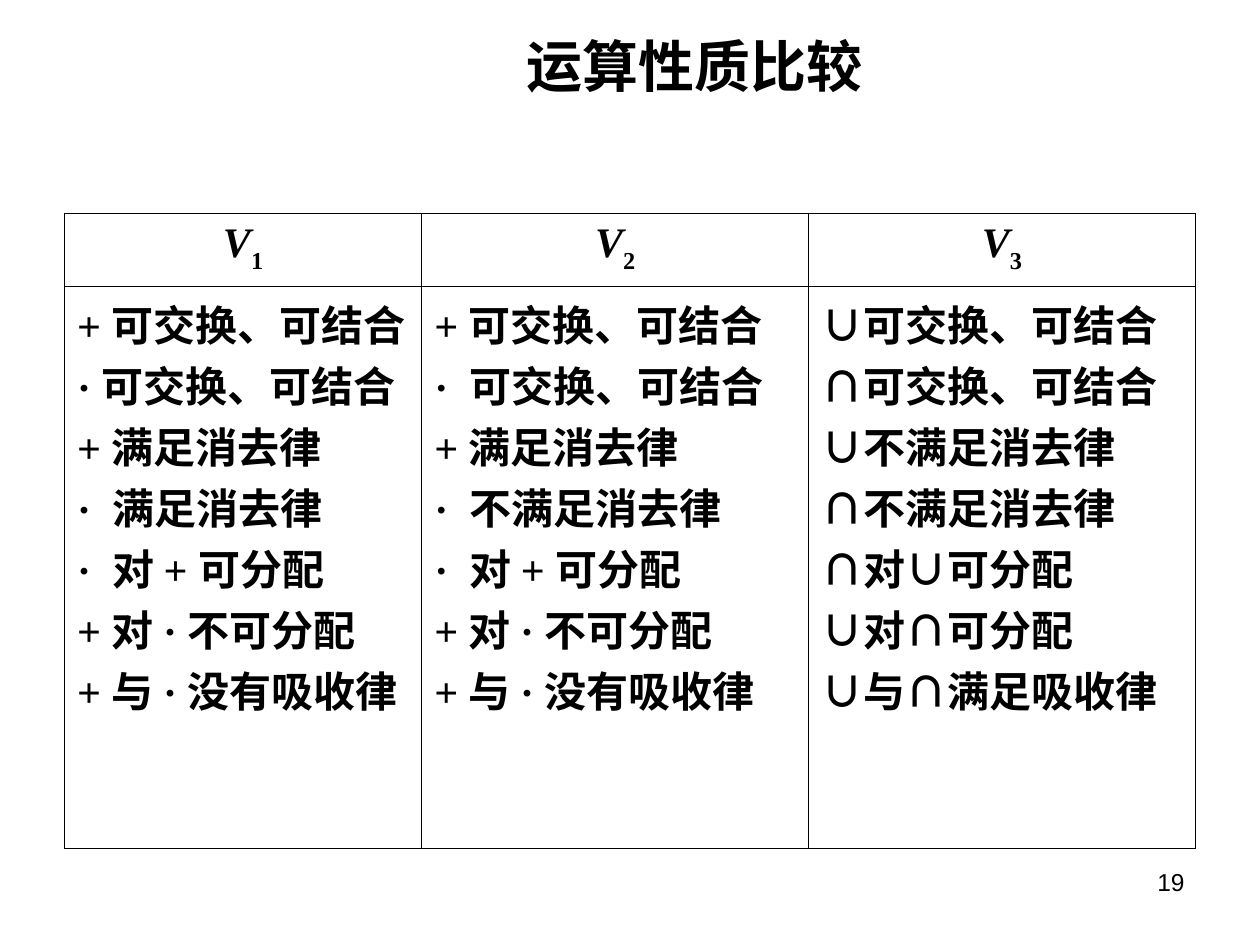
"""Build a slide comparing the operation properties of three algebraic systems."""
from lxml import etree
from pptx import Presentation
from pptx import util as u
from pptx.dml.color import RGBColor
from pptx.enum import text
from pptx.oxml.ns import qn

BLACK = "000000"


def style(font, name, size, bold=False):
    font.name = name
    font.size = u.Pt(size)
    font.bold = bold
    font.color.rgb = RGBColor.from_string(BLACK)


def add_border(cell, side):
    line = etree.SubElement(cell._tc.get_or_add_tcPr(), qn("a:" + side), w=str(u.Pt(0.45)))
    fill = etree.SubElement(line, qn("a:solidFill"))
    etree.SubElement(fill, qn("a:srgbClr"), val=BLACK)


presentation = Presentation()
presentation.slide_width = u.Cm(25.4)
presentation.slide_height = u.Cm(19.05)
slide = presentation.slides.add_slide(presentation.slide_layouts[6])

labels = [
    ("19", 18.21, 17.35, 5.92, 1.32, 14, False, text.PP_ALIGN.RIGHT, text.MSO_ANCHOR.TOP),
    ("运算性质比较", 5.51, 0.73, 16.99, 1.17, 32, True, text.PP_ALIGN.CENTER, text.MSO_ANCHOR.MIDDLE),
]
for words, left, top, width, height, size, bold, alignment, anchor in labels:
    box = slide.shapes.add_textbox(u.Cm(left), u.Cm(top), u.Cm(width), u.Cm(height))
    frame = box.text_frame
    frame.word_wrap = True
    frame.vertical_anchor = anchor
    paragraph = frame.paragraphs[0]
    paragraph.text = words
    paragraph.alignment = alignment
    style(paragraph.font, "Arial", size, bold)

properties = [
    ["+ 可交换、可结合", "· 可交换、可结合", "+ 满足消去律", "·  满足消去律",
     "·  对 + 可分配", "+ 对 · 不可分配", "+ 与 · 没有吸收律"],
    ["+ 可交换、可结合", "·  可交换、可结合", "+ 满足消去律", "·  不满足消去律",
     "·  对 + 可分配", "+ 对 · 不可分配", "+ 与 · 没有吸收律"],
    ["∪可交换、可结合", "∩可交换、可结合", "∪不满足消去律", "∩不满足消去律",
     "∩对∪可分配", "∪对∩可分配", "∪与∩满足吸收律"],
]
column_widths = (7.2, 7.8, 7.8)
row_heights = (1.48, 11.32)
table_frame = slide.shapes.add_table(
    2, 3, u.Cm(1.3), u.Cm(4.3), u.Cm(sum(column_widths)), u.Cm(sum(row_heights)))
table = table_frame.table
table.first_row = False
table.horz_banding = False
for column, width in zip(table.columns, column_widths):
    column.width = u.Cm(width)
for row, height in zip(table.rows, row_heights):
    row.height = u.Cm(height)

for index, lines in enumerate(properties):
    heading = table.cell(0, index).text_frame.paragraphs[0]
    heading.alignment = text.PP_ALIGN.CENTER
    symbol = heading.add_run()
    symbol.text = "V"
    subscript = heading.add_run()
    subscript.text = str(index + 1)
    for run in heading.runs:
        style(run.font, "Times New Roman", 24, True)
    symbol.font.italic = True
    subscript.font._element.set("baseline", "-30000")

    body = table.cell(1, index).text_frame
    body.text = "\n".join(lines)
    for paragraph in body.paragraphs:
        style(paragraph.font, "Times New Roman", 24, True)

for cell in table.iter_cells():
    for side in ("lnL", "lnR", "lnT", "lnB"):
        add_border(cell, side)
    cell.fill.background()

presentation.save("out.pptx")
